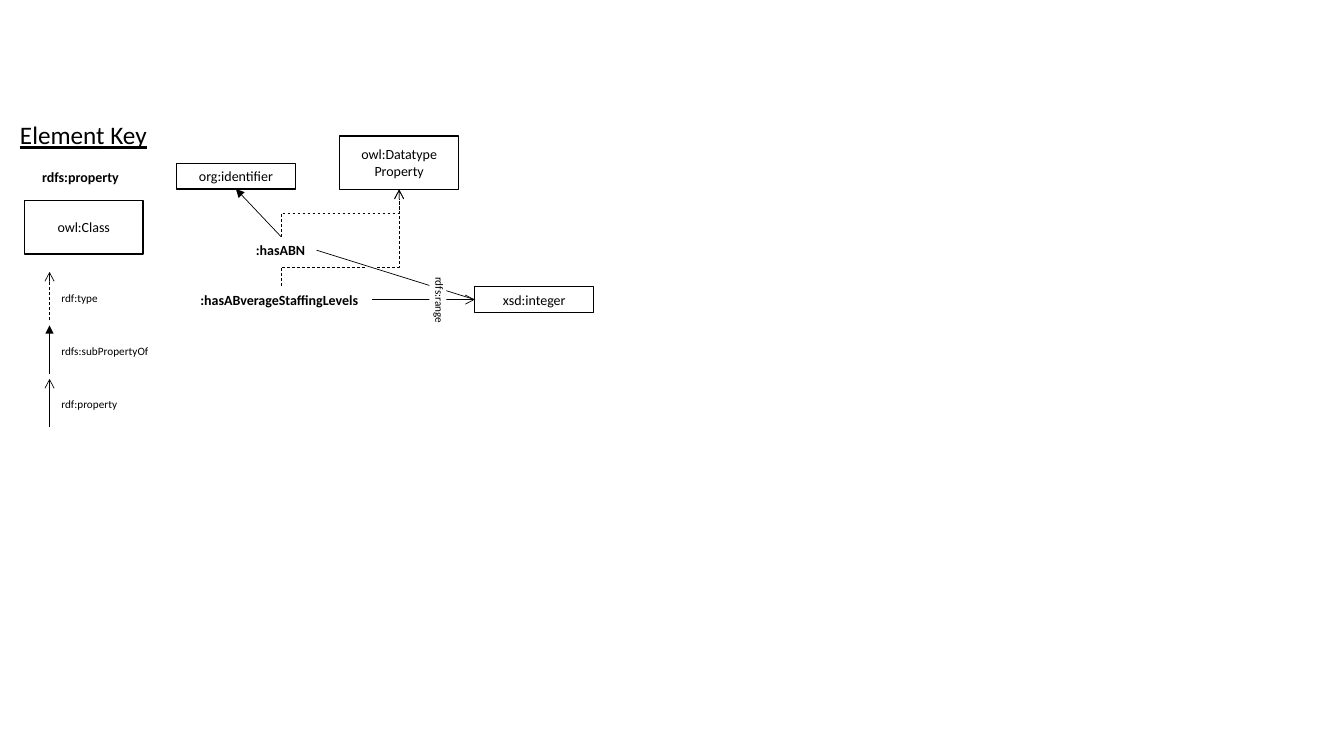
import pptx
import pptx.util
import pptx.oxml
import pptx.oxml.ns
import pptx.dml.color
import pptx.enum.dml
import pptx.enum.shapes
import pptx.enum.text

Pt = pptx.util.Pt
BLACK, WHITE = "000000", "FFFFFF"
WIDE, TALL = 85, 38.2


def color(code):
    """Turn a hex string into a colour."""
    return pptx.dml.color.RGBColor.from_string(code)


def write(shape, text, size=10, bold=None, under=None, center=False):
    """Put styled text into a shape."""
    frame = shape.text_frame
    frame.text = text
    para = frame.paragraphs[0]
    align = pptx.enum.text.PP_ALIGN
    para.alignment = align.CENTER if center else align.LEFT
    font = para.font
    font.name, font.size, font.bold, font.underline = "Calibri", Pt(size), bold, under
    font.color.rgb = color(BLACK)
    return frame


def label(slide, x, y, wide, high, text, **style):
    """Place a text box that does not wrap."""
    box = slide.shapes.add_textbox(Pt(x), Pt(y), Pt(wide), Pt(high))
    frame = write(box, text, **style)
    frame.word_wrap = False
    frame.auto_size = pptx.enum.text.MSO_AUTO_SIZE.SHAPE_TO_FIT_TEXT


def plate(slide, x, y, wide, high, edge=None):
    """Place a white rectangle with an optional outline."""
    kind = pptx.enum.shapes.MSO_SHAPE.RECTANGLE
    rect = slide.shapes.add_shape(kind, Pt(x), Pt(y), Pt(wide), Pt(high))
    rect.shadow.inherit = False
    rect.fill.solid()
    rect.fill.fore_color.rgb = color(WHITE)
    if edge:
        rect.line.color.rgb = color(edge)
        rect.line.width = Pt(1)
    else:
        rect.line.fill.background()
    return rect


def node(slide, x, y, high, text):
    """Place a framed box with centred text."""
    frame = write(plate(slide, x, y, WIDE, high, BLACK), text, center=True)
    frame.vertical_anchor = pptx.enum.text.MSO_ANCHOR.MIDDLE


def link(slide, start, end, head=None, dash=False, bend=None):
    """Join two points by a straight line, or upward by an elbow bent at a share."""
    kinds = pptx.enum.shapes.MSO_CONNECTOR
    kind = kinds.STRAIGHT
    (ax, ay), (bx, by) = start, end
    if bend:
        kind = kinds.ELBOW
        midx, midy = (ax + bx) / 2, (ay + by) / 2
        halfx, halfy = (ay - by) / 2, (bx - ax) / 2
        ax, bx = midx + halfx, midx - halfx
        ay, by = midy + halfy, midy - halfy
    line = slide.shapes.add_connector(kind, Pt(ax), Pt(ay), Pt(bx), Pt(by))
    line.line.color.rgb = color(BLACK)
    line.line.width = Pt(0.5)
    if dash:
        line.line.dash_style = pptx.enum.dml.MSO_LINE.DASH
    space = pptx.oxml.ns.nsdecls("a")
    props = line._element.spPr
    if head:
        tip = pptx.oxml.parse_xml(f'<a:tailEnd {space} type="{head}"/>')
        props.find(pptx.oxml.ns.qn("a:ln")).append(tip)
    if bend:
        props.find(pptx.oxml.ns.qn("a:xfrm")).set("rot", "5400000")
        guide = pptx.oxml.parse_xml(
            f'<a:gd {space} name="adj1" fmla="val {round(bend * 100000)}"/>')
        geom = props.find(pptx.oxml.ns.qn("a:prstGeom"))
        geom.find(pptx.oxml.ns.qn("a:avLst")).append(guide)
    props.append(pptx.oxml.parse_xml(f"<a:effectLst {space}/>"))


def legend(slide, x, y):
    """Draw the element key from its top left corner."""
    label(slide, x, y, 105.8, 28.8, "Element Key", size=18, under=True)
    label(slide, x + 15.8, y + 34.6, 70.6, 19.4, "rdfs:property", bold=True)
    node(slide, x + 10.1, y + 61.2, TALL, "owl:Class")
    rows = [("rdf:type", 41, "arrow", True),
            ("rdfs:subPropertyOf", 77.8, "triangle", False),
            ("rdf:property", 54.7, "arrow", False)]
    for i, (text, wide, head, dash) in enumerate(rows):
        top = y + 112.2 + i * TALL
        link(slide, (x + 28.2, top + 34.4), (x + 28.2, top), head, dash)
        label(slide, x + 29.5, top + 10, wide, 17.3, text, size=8)


def graph(slide, x, y):
    """Draw the property graph from its top left corner."""
    node(slide, x, y + 19.4, 18.4, "org:identifier")
    node(slide, x + 116.6, y, TALL, "owl:Datatype\vProperty")
    node(slide, x + 213.1, y + 107.6, 18.4, "xsd:integer")
    label(slide, x + 49.7, y + 72, 50.4, 19.4, ":hasABN", bold=True)
    label(slide, x + 10.1, y + 107.3, 129.6, 19.4,
          ":hasABverageStaffingLevels", bold=True)
    stem, goal = (x + 74.9, y + 72), (x + 159.1, y + TALL)
    link(slide, stem, (x + WIDE / 2, y + 37.8), "triangle")
    link(slide, stem, goal, "arrow", True, 0.5)
    link(slide, (x + 74.9, y + 107.3), goal, "arrow", True, 0.2)
    plate(slide, x + 135.4, y + 88.6, 7.2, 9.4, WHITE)
    port = (x + 213.1, y + 116.8)
    link(slide, (x + 139.7, y + 116.8), port, "arrow")
    link(slide, (x + 100.1, y + 81.5), port)
    tag = plate(slide, x + 169.9, y + 111.6, 33.8, 12.2)
    tag.rotation = 90
    frame = write(tag, "rdfs:range", size=8)
    frame.word_wrap = False
    frame.auto_size = pptx.enum.text.MSO_AUTO_SIZE.SHAPE_TO_FIT_TEXT
    frame.vertical_anchor = pptx.enum.text.MSO_ANCHOR.TOP
    frame.margin_left = frame.margin_right = frame.margin_top = 0
    frame.margin_bottom = Pt(2.9)


def main():
    """Build and save the slide."""
    deck = pptx.Presentation()
    deck.slide_width, deck.slide_height = Pt(960), Pt(540)
    slide = deck.slides.add_slide(deck.slide_layouts[6])
    legend(slide, 7.2, 82)
    graph(slide, 126, 97.2)
    deck.save("out.pptx")


if __name__ == "__main__":
    main()
